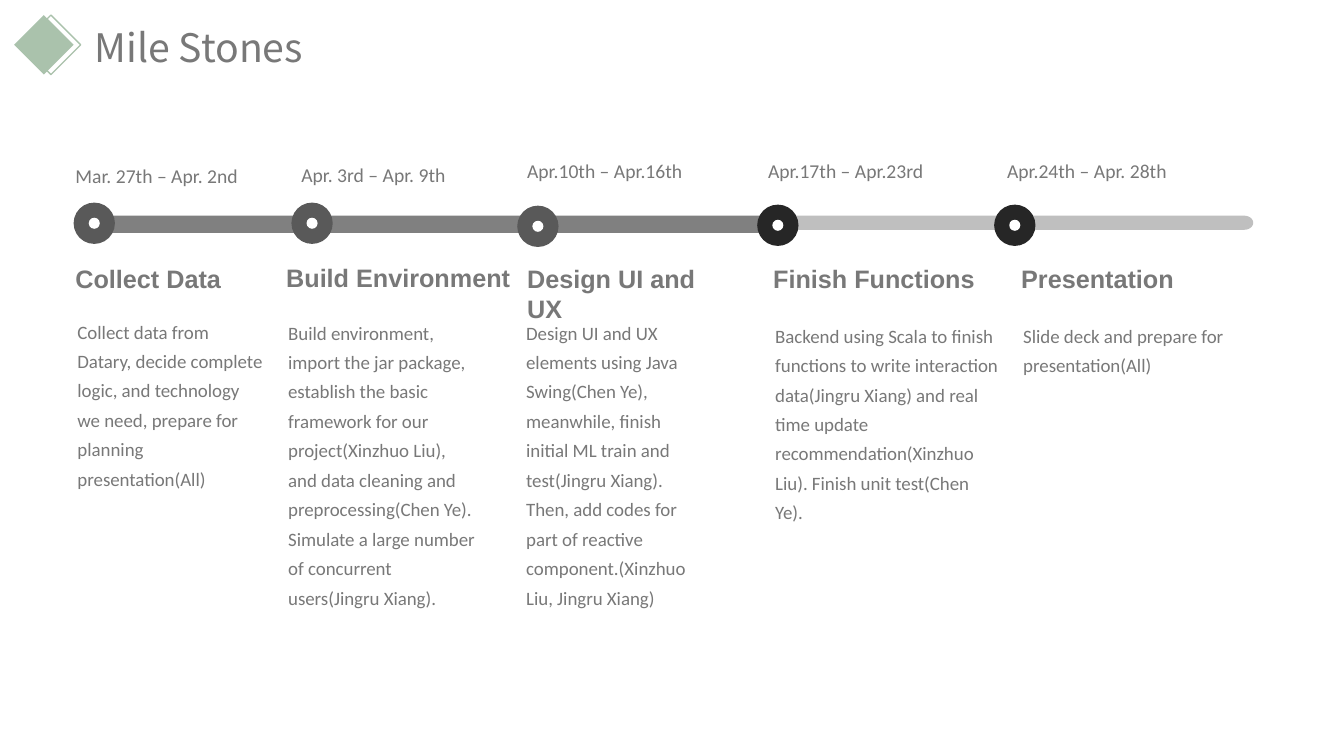
from math import cos, pi, sin

from pptx import Presentation
from pptx.dml.color import RGBColor
from pptx.enum.shapes import MSO_SHAPE as SHAPE
from pptx.enum.text import MSO_ANCHOR, MSO_AUTO_SIZE, PP_ALIGN
from pptx.util import Inches, Pt

TITLE = "Mile Stones"
GREEN, WHITE = "AAC2AC", "FFFFFF"
DONE, PENDING = "595959", "262626"

# date, (left, top), heading, (left, top, width), description, (left, top, width, height),
# marker colour, (left, top)
MILESTONES = [
    ("Mar. 27th – Apr. 2nd", (0.65, 1.58), "Collect Data", (0.65, 2.56, 1.66),
     "Collect data from Datary, decide complete logic, and technology we need, "
     "prepare for planning presentation(All)", (0.67, 3.06, 2.07, 1.87),
     DONE, (0.73, 2.01)),
    ("Apr. 3rd – Apr. 9th", (2.89, 1.57), "Build Environment", (2.74, 2.55, 2.45),
     "Build environment, import the jar package, establish the basic framework for our "
     "project(Xinzhuo Liu), and data cleaning and preprocessing(Chen Ye). Simulate a large "
     "number of concurrent users(Jingru Xiang).", (2.76, 3.07, 2.07, 3.35),
     DONE, (2.89, 2.01)),
    ("Apr.10th – Apr.16th", (5.13, 1.53), "Design UI and UX", (5.13, 2.56, 2.28),
     "Design UI and UX elements using Java Swing(Chen Ye), meanwhile, finish initial ML train "
     "and test(Jingru Xiang). Then, add codes for part of reactive component.(Xinzhuo Liu, "
     "Jingru Xiang)", (5.12, 3.07, 1.99, 3.05),
     DONE, (5.13, 2.04)),
    ("Apr.17th – Apr.23rd", (7.52, 1.53), "Finish Functions", (7.57, 2.56, 2.22),
     "Backend using Scala to finish functions to write interaction data(Jingru Xiang) and real "
     "time update recommendation(Xinzhuo Liu). Finish unit test(Chen Ye).",
     (7.59, 3.1, 2.42, 1.85), PENDING, (7.51, 2.03)),
    ("Apr.24th – Apr. 28th", (9.89, 1.53), "Presentation", (10.03, 2.56, 1.73),
     "Slide deck and prepare for presentation(All)", (10.05, 3.1, 2.42, 0.69),
     PENDING, (9.86, 2.03)),
]

# flat end, start of the rounded cap, signed cap length, top, height, colour
BARS = [
    (7.76, 12.34, 0.09, 2.14, 0.14, "BFBFBF"),
    (7.62, 0.89, -0.05, 2.14, 0.17, "808080"),
]
CAP_STEPS = 16
MARKER, HOLE = 0.41, 0.11

DATE = {"size": Pt(14), "name": "Calibri"}
HEADING = {"size": Pt(18), "name": "Arial", "bold": True}
DESCRIPTION = {"size": Pt(13.5), "name": "Calibri"}
TITLE_FONT = {"size": Pt(28), "name": "Noto Sans CJK SC"}


def rgb(value):
    return RGBColor.from_string(value)


def paint(sp, fill=None, line=None):
    sp.shadow.inherit = False
    if fill:
        sp.fill.solid()
        sp.fill.fore_color.rgb = rgb(fill)
    else:
        sp.fill.background()
    if line:
        sp.line.color.rgb = rgb(line)
        sp.line.width = Pt(1)
    else:
        sp.line.fill.background()


def add_preset(s, kind, left, top, size, **colours):
    sp = s.shapes.add_shape(kind, *map(Inches, (left, top, size, size)))
    paint(sp, **colours)


def add_bar(s, flat, cap, length, top, height, colour):
    """Draw a bar with one square end and one elliptical end."""
    radius = height / 2
    angles = [pi * i / CAP_STEPS for i in range(CAP_STEPS + 1)]
    points = [(cap + length * sin(a), top + radius - radius * cos(a)) for a in angles]
    points.append((flat, top + height))
    builder = s.shapes.build_freeform(Inches(flat), Inches(top))
    builder.add_line_segments([(Inches(x), Inches(y)) for x, y in points], close=True)
    paint(builder.convert_to_shape(), fill=colour)


def write(sp, text, font, wrap=False, spacing=None):
    tf = sp.text_frame
    tf.word_wrap = wrap
    tf.auto_size = MSO_AUTO_SIZE.SHAPE_TO_FIT_TEXT
    tf.vertical_anchor = MSO_ANCHOR.TOP
    p = tf.paragraphs[0]
    p.alignment = PP_ALIGN.LEFT
    p.line_spacing = spacing
    r = p.add_run()
    r.text = text
    for key, value in font.items():
        setattr(r.font, key, value)
    r.font.color.rgb = rgb("787878")


def add_text(s, box, *args, **options):
    write(s.shapes.add_textbox(*map(Inches, box)), *args, **options)


def main():
    prs = Presentation()
    prs.slide_width, prs.slide_height = Inches(13.33), Inches(7.5)
    s = prs.slides.add_slide(prs.slide_layouts[5])

    title = s.shapes.title
    title.left, title.top, title.width, title.height = map(Inches, (0.84, 0.18, 2.32, 0.57))
    write(title, TITLE, TITLE_FONT)

    add_preset(s, SHAPE.DIAMOND, 0.14, 0.15, 0.59, fill=GREEN)
    add_preset(s, SHAPE.DIAMOND, 0.21, 0.15, 0.59, line=GREEN)
    for bar in BARS:
        add_bar(s, *bar)

    inset = (MARKER - HOLE) / 2
    for date, date_at, heading, heading_at, text, text_box, colour, (x, y) in MILESTONES:
        add_preset(s, SHAPE.OVAL, x, y, MARKER, fill=colour)
        add_preset(s, SHAPE.OVAL, x + inset, y + inset, HOLE, fill=WHITE)
        add_text(s, (*date_at, 1.9, 0.34), date, DATE)
        add_text(s, (*heading_at, 0.4), heading, HEADING)
        add_text(s, text_box, text, DESCRIPTION, wrap=True, spacing=1.3)

    prs.save("out.pptx")


if __name__ == "__main__":
    main()
